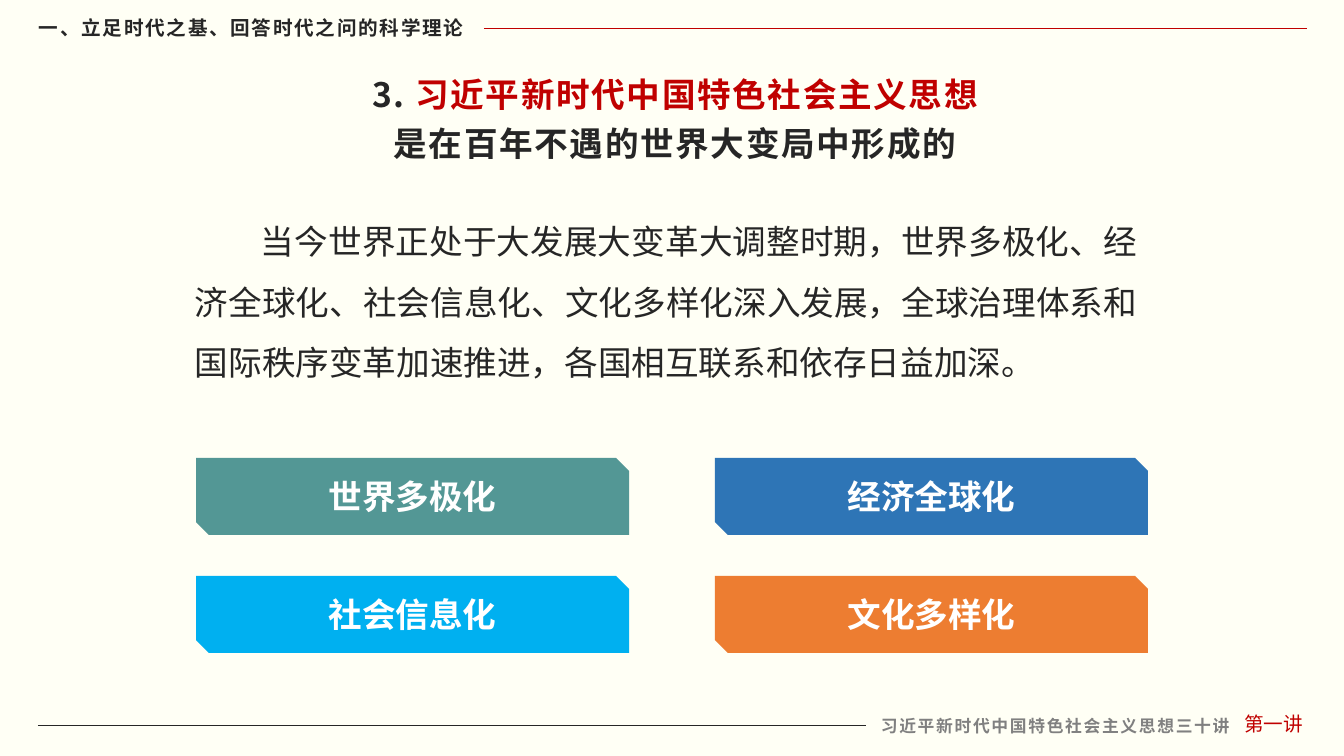
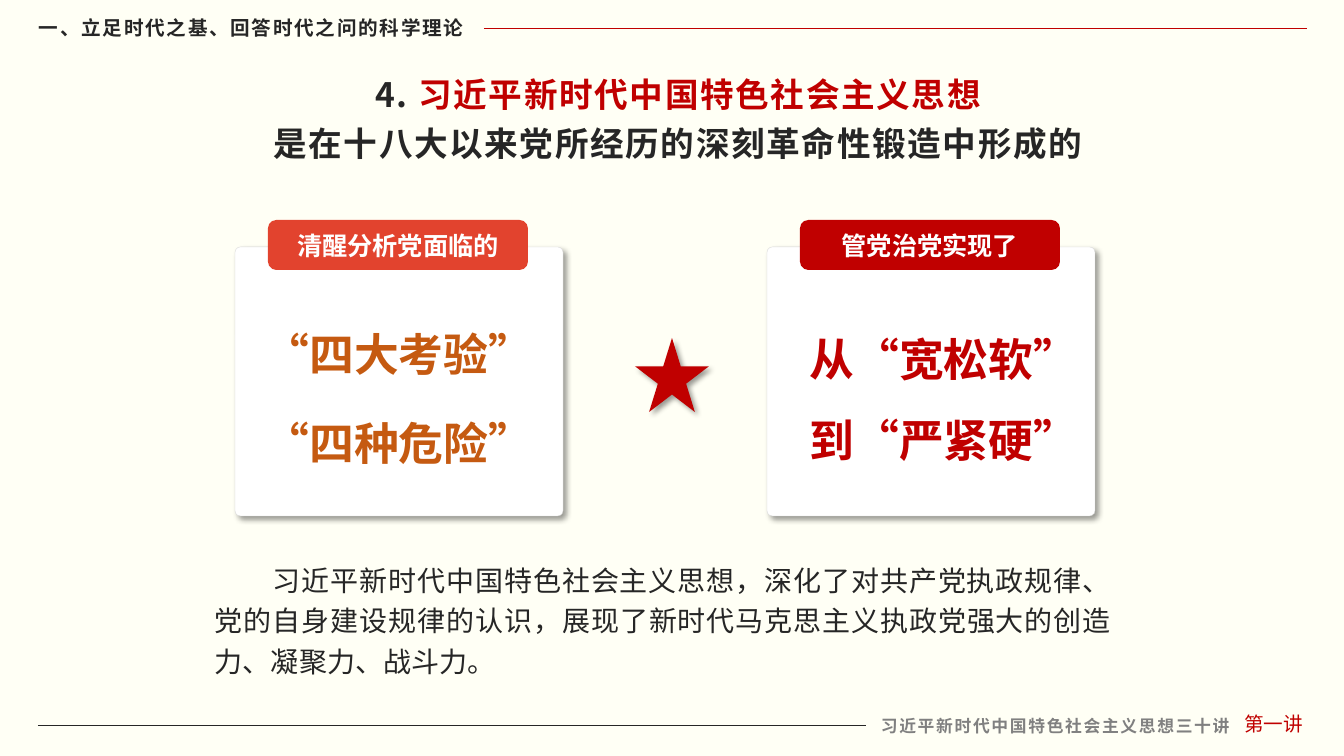
import pptx
import pptx.util
import pptx.dml.color
import pptx.enum.shapes
import pptx.enum.text
import pptx.oxml
import pptx.oxml.ns

RGB = pptx.dml.color.RGBColor
SHAPE = pptx.enum.shapes.MSO_SHAPE
ALIGN = pptx.enum.text.PP_ALIGN
ANCHOR = pptx.enum.text.MSO_ANCHOR
qn = pptx.oxml.ns.qn
NS = pptx.oxml.ns.nsdecls("a")

CREAM = RGB(0xFF, 0xFF, 0xF5)
INK = RGB(0x26, 0x26, 0x26)
RED = RGB(0xC0, 0x00, 0x00)
GREY = RGB(0x80, 0x80, 0x80)
WHITE = RGB(0xFF, 0xFF, 0xFF)
BORDER = RGB(0xD9, 0xD9, 0xD9)
TEAL = RGB(0x53, 0x97, 0x95)
BLUE = RGB(0x2E, 0x75, 0xB6)
SKY = RGB(0x00, 0xB0, 0xF0)
ORANGE = RGB(0xED, 0x7D, 0x31)
VERMILION = RGB(0xE2, 0x43, 0x2E)
BROWN = RGB(0xC5, 0x5A, 0x11)

FONT = "Noto Sans CJK SC"
SPACING = 120  # letter spacing, hundredths of a point
PX_PER_INCH = 100.8

SECTION = "一、立足时代之基、回答时代之问的科学理论"
SERIES = "习近平新时代中国特色社会主义思想三十讲"
LECTURE = "第一讲"
THOUGHT = "习近平新时代中国特色社会主义思想"

TRENDS_TITLE = ("3. ", "是在百年不遇的世界大变局中形成的")
TRENDS_BODY = ("当今世界正处于大发展大变革大调整时期，世界多极化、经济全球化、社会信息化、"
               "文化多样化深入发展，全球治理体系和国际秩序变革加速推进，"
               "各国相互联系和依存日益加深。")
TRENDS = [("世界多极化", TEAL), ("经济全球化", BLUE),
          ("社会信息化", SKY), ("文化多样化", ORANGE)]

PARTY_TITLE = ("4. ", "是在十八大以来党所经历的深刻革命性锻造中形成的")
PARTY_BODY = (THOUGHT + "，深化了对共产党执政规律、党的自身建设规律的认识，"
              "展现了新时代马克思主义执政党强大的创造力、凝聚力、战斗力。")
# heading, tab colour, lines, text colour, text offset (x, y), gap between lines in points
CARDS = [
    ("清醒分析党面临的", VERMILION, ["“四大考验”", "“四种危险”"], BROWN, (0, 48), 6),
    ("管党治党实现了", RED, ["从“宽松软”", "到“严紧硬”"], RED, (13, 53), 0),
]


def px(n):
    return pptx.util.Emu(round(n * 914400 / PX_PER_INCH))


def box(*lengths):
    return [px(n) for n in lengths]


def add_run(p, text, size, color, bold=False, spc=0):
    r = p.add_run()
    r.text = text
    r.font.size = pptx.util.Pt(size)
    r.font.bold = bold
    r.font.color.rgb = color
    r.font.name = FONT
    rPr = r._r.get_or_add_rPr()
    rPr.set("lang", "zh-CN")
    if spc:
        rPr.set("spc", str(spc))
    latin = rPr.find(qn("a:latin"))
    latin.addnext(pptx.oxml.parse_xml(f'<a:ea {NS} typeface="{FONT}"/>'))


def add_text(slide, at, text, size, color, bold=False, spc=0, align=ALIGN.LEFT,
             anchor=ANCHOR.TOP, wrap=True):
    sp = slide.shapes.add_textbox(*box(*at))
    tf = sp.text_frame
    tf.word_wrap = wrap
    tf.vertical_anchor = anchor
    p = tf.paragraphs[0]
    p.alignment = align
    add_run(p, text, size, color, bold, spc)
    return sp


def add_shape(slide, kind, at, fill, line=None, shadow=False):
    sp = slide.shapes.add_shape(kind, *box(*at))
    sp.fill.solid()
    sp.fill.fore_color.rgb = fill
    if line is None:
        sp.line.fill.background()
    else:
        sp.line.color.rgb = line
        sp.line.width = pptx.util.Pt(0.25)
    sp.shadow.inherit = False
    if shadow:
        effects = sp.element.spPr.find(qn("a:effectLst"))
        effects.append(pptx.oxml.parse_xml(
            f'<a:outerShdw {NS} blurRad="50800" dist="38100" '
            'dir="2700000" algn="tl" rotWithShape="0"><a:srgbClr val="000000">'
            '<a:alpha val="40000"/></a:srgbClr></a:outerShdw>'))
    return sp


def add_label(sp, text, size):
    tf = sp.text_frame
    tf.vertical_anchor = ANCHOR.MIDDLE
    p = tf.paragraphs[0]
    p.alignment = ALIGN.CENTER
    add_run(p, text, size, WHITE, True)


def add_rule(slide, x1, x2, y, color):
    cn = slide.shapes.add_connector(
        pptx.enum.shapes.MSO_CONNECTOR.STRAIGHT, *box(x1, y, x2, y))
    cn.line.color.rgb = color
    cn.line.width = pptx.util.Pt(0.5)
    cn.element.spPr.append(pptx.oxml.parse_xml(f"<a:effectLst {NS}/>"))
    return cn


def set_frame(layout, slide):
    """Draw header and footer on the slide, then move them to its layout."""
    layout.background.fill.solid()
    layout.background.fill.fore_color.rgb = CREAM
    for ph in list(layout.placeholders):
        if ph.placeholder_format.type != pptx.enum.shapes.PP_PLACEHOLDER.TITLE:
            ph.element.getparent().remove(ph.element)
    parts = [
        add_text(slide, (29, 11, 455, 34), SECTION, 14, INK, True, SPACING,
                 anchor=ANCHOR.MIDDLE),
        add_rule(slide, 484, 1307, 28, RED),
        add_text(slide, (871, 711, 374, 30), SERIES, 12, GREY, True, SPACING, wrap=False),
        add_text(slide, (1218, 707, 111, 34), LECTURE, 14, RED,
                 align=ALIGN.CENTER, anchor=ANCHOR.MIDDLE),
        add_rule(slide, 38, 866, 725, INK),
    ]
    for sp in parts:
        layout.shapes.element.append(sp.element)


def set_title(slide, x, number, ending):
    sp = slide.shapes.title
    sp.left, sp.top, sp.width, sp.height = box(x, 61, 886, 108)
    tf = sp.text_frame
    tf.word_wrap = True
    tf.auto_size = pptx.enum.text.MSO_AUTO_SIZE.NONE
    tf.vertical_anchor = ANCHOR.TOP
    lines = [[(number, INK), (THOUGHT, RED)], [(ending, INK)]]
    for i, runs in enumerate(lines):
        p = tf.add_paragraph() if i else tf.paragraphs[0]
        p.alignment = ALIGN.CENTER
        p.line_spacing = 1.2
        for text, color in runs:
            add_run(p, text, 24, color, True, SPACING)


def add_body(slide, at, text, size, indent, spacing):
    sp = add_text(slide, at, text, size, INK, align=ALIGN.JUSTIFY)
    p = sp.text_frame.paragraphs[0]
    p.line_spacing = spacing
    pPr = p._p.get_or_add_pPr()
    pPr.set("marL", "0")
    pPr.set("indent", str(int(px(indent))))


def build_trends(slide):
    set_title(slide, 232, *TRENDS_TITLE)
    add_body(slide, (185, 196, 962, 194), TRENDS_BODY, 24, 66, 1.5)
    for i, (text, color) in enumerate(TRENDS):
        row, col = divmod(i, 2)
        at = (196 + 519 * col, 458 + 118 * row, 433, 77)
        add_label(add_shape(slide, SHAPE.SNIP_2_DIAG_RECTANGLE, at, color), text, 24)


def build_party(slide):
    set_title(slide, 235, *PARTY_TITLE)
    add_body(slide, (205, 552, 916, 132), PARTY_BODY, 20, 58, 1.2)
    top, width = 247, 328
    for i, (heading, tab_color, lines, color, (dx, dy), gap) in enumerate(CARDS):
        left = 235 + 532 * i
        card = add_shape(slide, SHAPE.ROUNDED_RECTANGLE, (left, top, width, 269),
                         WHITE, BORDER, True)
        card.adjustments[0] = 0.02
        tab = add_shape(slide, SHAPE.ROUNDED_RECTANGLE,
                        (left + 33, top - 27, width - 68, 50), tab_color)
        add_label(tab, heading, 18)
        sp = add_text(slide, (left + dx, top + dy, width, 168), lines[0], 32, color, True)
        tf = sp.text_frame
        add_run(tf.add_paragraph(), lines[1], 32, color, True)
        for p in tf.paragraphs:
            p.alignment = ALIGN.CENTER
            p.line_spacing = 1.5
        tf.paragraphs[1].space_before = pptx.util.Pt(gap)
    add_shape(slide, SHAPE.STAR_5_POINT, (635, 338, 74, 74), RED, shadow=True)


def main():
    prs = pptx.Presentation()
    prs.slide_width, prs.slide_height = box(1344, 756)
    layout = prs.slide_layouts[5]
    slides = [prs.slides.add_slide(layout) for _ in range(2)]
    set_frame(layout, slides[0])
    build_trends(slides[0])
    build_party(slides[1])
    prs.save("out.pptx")


if __name__ == "__main__":
    main()
